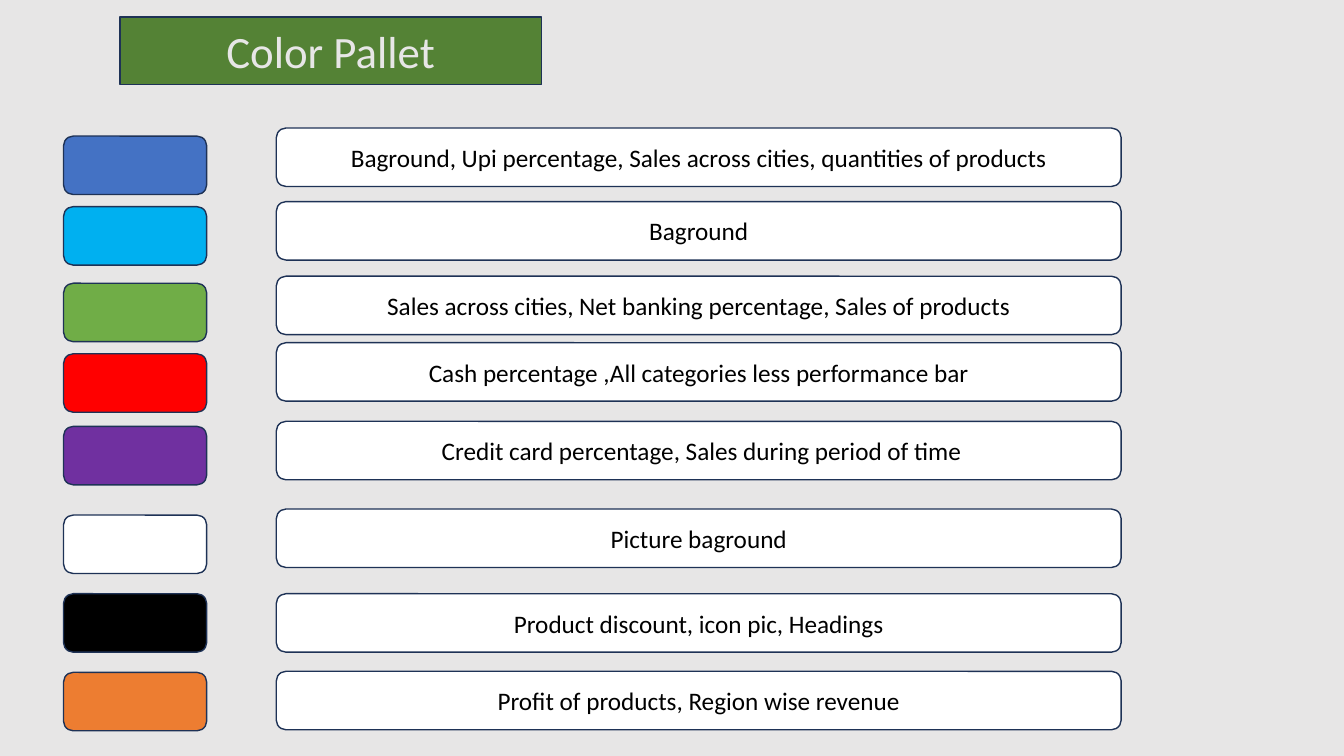
import pptx
import pptx.util
import pptx.dml.color
import pptx.enum.shapes
import pptx.enum.text
import pptx.oxml.ns
from lxml import etree

Inches = pptx.util.Inches
RGBColor = pptx.dml.color.RGBColor

BLUE = RGBColor(0x44, 0x72, 0xC4)
SKY = RGBColor(0x00, 0xB0, 0xF0)
GREEN = RGBColor(0x70, 0xAD, 0x47)
RED = RGBColor(0xFF, 0x00, 0x00)
PURPLE = RGBColor(0x70, 0x30, 0xA0)
WHITE = RGBColor(0xFF, 0xFF, 0xFF)
BLACK = RGBColor(0x00, 0x00, 0x00)
ORANGE = RGBColor(0xED, 0x7D, 0x31)
DARK_GREEN = RGBColor(0x54, 0x82, 0x35)
GREY = RGBColor(0xE7, 0xE6, 0xE6)
NAVY = RGBColor(0x1E, 0x32, 0x56)

PALETTE = [
    (BLUE, 1.35, 1.27, "Baground, Upi percentage, Sales across cities, quantities of products"),
    (SKY, 2.05, 2.0, "Baground"),
    (GREEN, 2.81, 2.74, "Sales across cities, Net banking percentage, Sales of products"),
    (RED, 3.51, 3.4, "Cash percentage ,All categories less performance bar"),
    (PURPLE, 4.23, 4.18, " Credit card percentage, Sales during period of time"),
    (WHITE, 5.11, 5.05, "Picture baground"),
    (BLACK, 5.89, 5.89, "Product discount, icon pic, Headings"),
    (ORANGE, 6.67, 6.66, "Profit of products, Region wise revenue"),
]
ROW_HEIGHT = 0.58


def paint(box, color):
    box.fill.solid()
    box.fill.fore_color.rgb = color
    box.line.color.rgb = NAVY
    box.line.width = pptx.util.Pt(1)


def write(box, text, size, color):
    frame = box.text_frame
    frame.text = text
    frame.word_wrap = True
    frame.auto_size = pptx.enum.text.MSO_AUTO_SIZE.NONE
    frame.vertical_anchor = pptx.enum.text.MSO_ANCHOR.MIDDLE
    paragraph = frame.paragraphs[0]
    paragraph.alignment = pptx.enum.text.PP_ALIGN.CENTER
    paragraph.font.size = pptx.util.Pt(size)
    paragraph.font.name = "Calibri"
    paragraph.font.color.rgb = color


def add_rounded_box(slide, left, top, width, height, color):
    box = slide.shapes.add_shape(
        pptx.enum.shapes.MSO_SHAPE.ROUNDED_RECTANGLE,
        Inches(left), Inches(top), Inches(width), Inches(height))
    box.shadow.inherit = False
    paint(box, color)
    return box


def place_title(slide, left, top, width, height):
    title = slide.shapes.title
    title.left, title.top = Inches(left), Inches(top)
    title.width, title.height = Inches(width), Inches(height)
    outline = etree.SubElement(
        title.element.spPr, pptx.oxml.ns.qn("a:prstGeom"), prst="roundRect")
    etree.SubElement(outline, pptx.oxml.ns.qn("a:avLst"))
    paint(title, DARK_GREEN)
    write(title, "Color Pallet", 32, GREY)


def add_swatches(slide, left, width):
    for color, swatch_top, _, _ in PALETTE:
        add_rounded_box(slide, left, swatch_top, width, ROW_HEIGHT, color)


def add_usages(slide, left, width):
    for _, _, usage_top, usage in PALETTE:
        usage_box = add_rounded_box(slide, left, usage_top, width, ROW_HEIGHT, WHITE)
        write(usage_box, usage, 18, BLACK)


def main():
    deck = pptx.Presentation()
    deck.slide_width, deck.slide_height = Inches(13.33), Inches(7.5)
    slide = deck.slides.add_slide(deck.slide_layouts[5])
    slide.background.fill.solid()
    slide.background.fill.fore_color.rgb = GREY
    place_title(slide, 1.19, 0.17, 4.18, 0.67)
    add_swatches(slide, 0.63, 1.42)
    add_usages(slide, 2.74, 8.38)
    deck.save("out.pptx")


if __name__ == "__main__":
    main()
